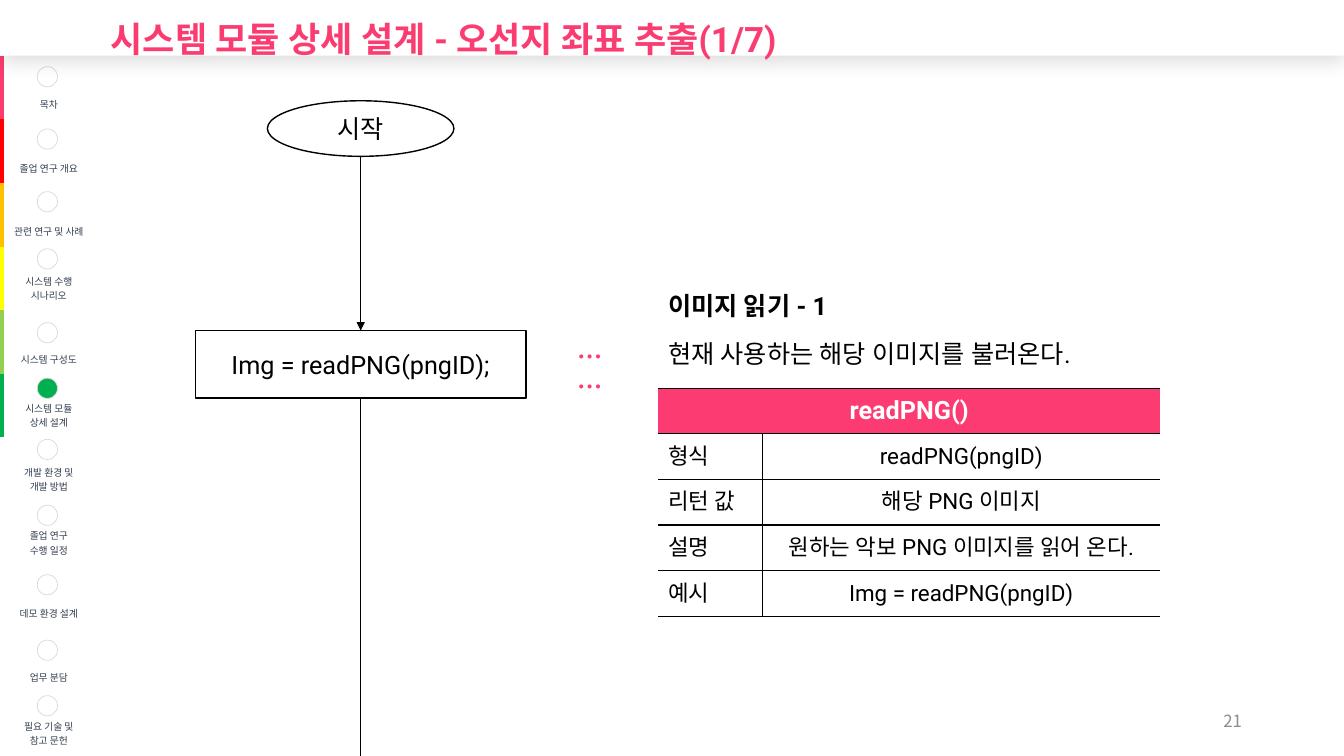
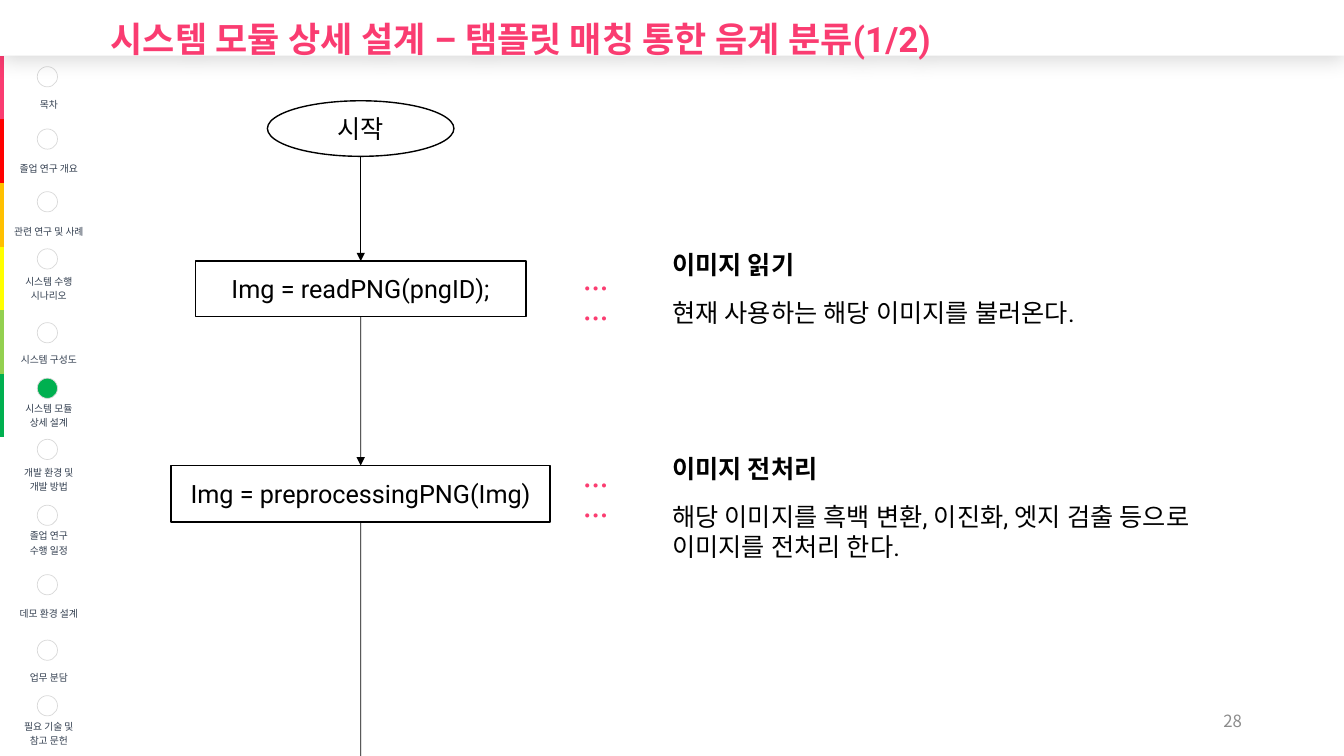
"""Build two flowchart slides on the detailed design of system modules."""
from dataclasses import dataclass

from lxml import etree
from pptx import Presentation
from pptx.dml.color import RGBColor
from pptx.enum.shapes import MSO_CONNECTOR, MSO_SHAPE
from pptx.enum.text import MSO_ANCHOR, MSO_AUTO_SIZE, PP_ALIGN
from pptx.oxml import parse_xml
from pptx.oxml.ns import nsdecls, qn
from pptx.util import Cm, Pt


@dataclass(frozen=True)
class Theme:
    pink: str = "FA3C71"
    header: str = "FB3B71"
    dots: str = "FB3D71"
    active: str = "00B050"
    white: str = "FFFFFF"
    black: str = "000000"
    menu: str = "333F50"
    ring: str = "D9D9D9"
    page: str = "8C8C8C"
    font: str = "Roboto"
    korean: str = "Noto Sans CJK KR"
    title_size: float = 25
    text_size: float = 18
    table_size: float = 16
    page_size: float = 12
    menu_size: float = 7


THEME = Theme()
WIDTH, HEIGHT = 33.87, 19.05
BAND_HEIGHT = 1.4
FLOW_AXIS = 9.09
START_WIDTH, START_TOP, START_HEIGHT = 4.7, 2.54, 1.4
MENU_COLUMNS = (0.13, 2.26)
RING_LEFT, RING_SIZE = 0.94, 0.51
NO_STYLE = "{2D5ABB26-0587-4C30-8999-92F81FD0307C}"

MENU = [
    ("목차", THEME.pink, 1.68),
    ("졸업 연구 개요", "FF0000", 3.25),
    ("관련 연구 및 사례", "FFC000", 4.83),
    ("시스템 수행\n시나리오", "FFFF00", 6.27),
    ("시스템 구성도", "93D050", 8.13),
    ("시스템 모듈\n상세 설계", THEME.active, 9.53),
    ("개발 환경 및\n개발 방법", THEME.white, 11.07),
    ("졸업 연구\n수행 일정", THEME.white, 12.73),
    ("데모 환경 설계", THEME.white, 14.48),
    ("업무 분담", THEME.white, 16.13),
    ("필요 기술 및\n참고 문헌", THEME.white, 17.53),
]
CURRENT = 5

SLIDES = [
    {
        "title": "시스템 모듈 상세 설계 - 오선지 좌표 추출(1/7)",
        "page": "21",
        "steps": [
            {"code": "Img = readPNG(pngID);", "box": (8.33, 8.33, 1.7),
             "dots": (14.3, 8.48), "note": (16.59, 7.19, 15.37, 2.24),
             "heading": "이미지 읽기 - 1",
             "body": "현재 사용하는 해당 이미지를 불러온다."},
        ],
        "function": {
            "name": "readPNG()",
            "rows": [
                ("형식", "readPNG(pngID)"),
                ("리턴 값", "해당 PNG 이미지"),
                ("설명", "원하는 악보 PNG 이미지를 읽어 온다."),
                ("예시", "Img = readPNG(pngID)"),
            ],
        },
    },
    {
        "title": "시스템 모듈 상세 설계 – 탬플릿 매칭 통한 음계 분류(1/2)",
        "page": "28",
        "steps": [
            {"code": "Img = readPNG(pngID);", "box": (8.33, 6.58, 1.4),
             "dots": (14.45, 6.76), "note": (16.69, 6.17, 15.37, 2.24),
             "heading": "이미지 읽기",
             "body": "현재 사용하는 해당 이미지를 불러온다."},
            {"code": "Img = preprocessingPNG(Img)", "box": (9.55, 11.73, 1.42),
             "dots": (14.45, 11.73), "note": (16.69, 11.3, 15.04, 3.63),
             "heading": "이미지 전처리",
             "body": "해당 이미지를 흑백 변환, 이진화, 엣지 검출 등으로 "
                     "이미지를 전처리 한다."},
        ],
    },
]


def rgb(color):
    return RGBColor.from_string(color)


def style(paragraph, size, color, bold=False, align=PP_ALIGN.LEFT,
          latin=THEME.font, asian=THEME.font):
    paragraph.alignment = align
    for run in paragraph.runs:
        run.font.size = Pt(size)
        run.font.bold = bold
        run.font.name = latin
        run.font.color.rgb = rgb(color)
        east = etree.SubElement(run.font._element, qn("a:ea"))
        east.set("typeface", asian)


def paint(shape, fill, line, width):
    shape.shadow.inherit = False
    shape.fill.solid()
    shape.fill.fore_color.rgb = rgb(fill)
    shape.line.color.rgb = rgb(line)
    shape.line.width = Pt(width)


def add_text(slide, left, top, width, height):
    box = slide.shapes.add_textbox(Cm(left), Cm(top), Cm(width), Cm(height))
    box.text_frame.word_wrap = True
    return box.text_frame


def add_plain_table(slide, left, top, columns, rows, row_height):
    frame = slide.shapes.add_table(rows, len(columns), Cm(left), Cm(top),
                                   Cm(sum(columns)), Cm(rows * row_height))
    table = frame.table
    table.first_row = table.horz_banding = False
    table._tbl.tblPr.find(qn("a:tableStyleId")).text = NO_STYLE
    for column, width in zip(table.columns, columns):
        column.width = Cm(width)
    return table


def fill_cell(cell, color):
    cell.fill.solid()
    cell.fill.fore_color.rgb = rgb(color)


def add_borders(cell, sides):
    for position, side in enumerate(sides):
        cell._tc.get_or_add_tcPr().insert(position, parse_xml(
            f'<a:ln{side} {nsdecls("a")} w="12700"><a:solidFill>'
            f'<a:srgbClr val="{THEME.black}"/></a:solidFill></a:ln{side}>'))


def add_menu(slide):
    table = add_plain_table(slide, -0.03, BAND_HEIGHT, MENU_COLUMNS, len(MENU),
                            (HEIGHT - BAND_HEIGHT) / len(MENU))
    for row, (label, accent, _) in enumerate(MENU):
        marker, entry = table.cell(row, 0), table.cell(row, 1)
        fill_cell(marker, accent)
        fill_cell(entry, THEME.white)
        for cell in (marker, entry):
            cell.margin_left = cell.margin_right = cell.margin_top = 0
            cell.margin_bottom = Cm(0.2)
        entry.vertical_anchor = MSO_ANCHOR.BOTTOM
        entry.text_frame.text = label
        for paragraph in entry.text_frame.paragraphs:
            style(paragraph, THEME.menu_size, THEME.menu,
                  align=PP_ALIGN.CENTER, asian=THEME.korean)
    for index, (_, _, top) in enumerate(MENU):
        ring = slide.shapes.add_shape(MSO_SHAPE.OVAL, Cm(RING_LEFT), Cm(top),
                                      Cm(RING_SIZE), Cm(RING_SIZE))
        paint(ring, THEME.active if index == CURRENT else THEME.white,
              THEME.ring, 0.5)


def add_title(slide, words):
    title = slide.shapes.title
    title.left, title.top, title.width, title.height = (
        0, 0, Cm(WIDTH), Cm(BAND_HEIGHT))
    title.fill.solid()
    title.fill.fore_color.rgb = rgb(THEME.white)
    title.line.fill.background()
    title._element.spPr.append(parse_xml(
        f'<a:effectLst {nsdecls("a")}><a:outerShdw blurRad="190500" '
        'dist="38100" dir="5400000" algn="t" rotWithShape="0">'
        f'<a:srgbClr val="{THEME.black}"><a:alpha val="15000"/></a:srgbClr>'
        '</a:outerShdw></a:effectLst>'))
    frame = title.text_frame
    frame.text = words
    frame.word_wrap = True
    frame.auto_size = MSO_AUTO_SIZE.NONE
    frame.vertical_anchor = MSO_ANCHOR.MIDDLE
    heading = frame.paragraphs[0]
    heading.line_spacing = 1.5
    heading._p.get_or_add_pPr().set("marL", str(Cm(2.54)))
    style(heading, THEME.title_size, THEME.pink, bold=True)
    slide.shapes._spTree.append(title._element)


def add_page_number(slide, number):
    frame = add_text(slide, 23.93, 17.65, 7.62, 1.02)
    frame.vertical_anchor = MSO_ANCHOR.MIDDLE
    frame.text = number
    style(frame.paragraphs[0], THEME.page_size, THEME.page,
          align=PP_ALIGN.RIGHT, latin=THEME.korean, asian=THEME.korean)


def add_node(slide, kind, words, width, top, height):
    node = slide.shapes.add_shape(kind, Cm(FLOW_AXIS - width / 2), Cm(top),
                                  Cm(width), Cm(height))
    paint(node, THEME.white, THEME.black, 1)
    node.text_frame.text = words
    node.text_frame.vertical_anchor = MSO_ANCHOR.MIDDLE
    style(node.text_frame.paragraphs[0], THEME.text_size, THEME.black,
          align=PP_ALIGN.CENTER)
    return node


def add_flow_line(slide, top, bottom, source=None, target=None):
    line = slide.shapes.add_connector(MSO_CONNECTOR.STRAIGHT, Cm(FLOW_AXIS),
                                      Cm(top), Cm(FLOW_AXIS), Cm(bottom))
    line.line.color.rgb = rgb(THEME.black)
    line.line.width = Pt(0.5)
    if source is not None:
        line.begin_connect(source, 2)
    if target is not None:
        line.end_connect(target, 0)
        etree.SubElement(line.line._get_or_add_ln(),
                         qn("a:tailEnd")).set("type", "triangle")
    etree.SubElement(line._element.spPr, qn("a:effectLst"))


def add_note(slide, step):
    frame = add_text(slide, *step["note"])
    frame.text = step["heading"]
    style(frame.paragraphs[0], THEME.text_size, THEME.black, bold=True)
    body = frame.add_paragraph()
    body.text = step["body"]
    body.space_before = Pt(12.5)
    style(body, THEME.text_size, THEME.black)
    dots = add_text(slide, *step["dots"], 1.65, 1.02)
    dots.text = "……"
    style(dots.paragraphs[0], THEME.text_size, THEME.dots, bold=True,
          latin=THEME.korean)


def add_flow(slide, steps):
    add_node(slide, MSO_SHAPE.OVAL, "시작", START_WIDTH, START_TOP, START_HEIGHT)
    previous, previous_bottom = None, START_TOP + START_HEIGHT
    for step in steps:
        width, top, height = step["box"]
        process = add_node(slide, MSO_SHAPE.FLOWCHART_PROCESS, step["code"],
                           width, top, height)
        add_flow_line(slide, previous_bottom, top, previous, process)
        add_note(slide, step)
        previous, previous_bottom = process, top + height
    add_flow_line(slide, previous_bottom, HEIGHT, previous)


def add_function_table(slide, function):
    rows = function["rows"]
    table = add_plain_table(slide, 16.59, 9.78, (2.62, 10.03), len(rows) + 1, 1.15)
    header = table.cell(0, 0)
    header.merge(table.cell(0, 1))
    header.text_frame.text = function["name"]
    style(header.text_frame.paragraphs[0], THEME.text_size, THEME.white,
          bold=True, align=PP_ALIGN.CENTER)
    for column in (0, 1):
        fill_cell(table.cell(0, column), THEME.header)
        add_borders(table.cell(0, column), "TB")
    header.vertical_anchor = MSO_ANCHOR.MIDDLE
    layout = ((PP_ALIGN.LEFT, "TB"), (PP_ALIGN.CENTER, "LTB"))
    for row, entries in enumerate(rows, 1):
        for column, (words, (align, sides)) in enumerate(zip(entries, layout)):
            cell = table.cell(row, column)
            cell.fill.background()
            cell.vertical_anchor = MSO_ANCHOR.MIDDLE
            cell.text_frame.text = words
            style(cell.text_frame.paragraphs[0], THEME.table_size, THEME.black,
                  align=align)
            add_borders(cell, sides)


def main():
    deck = Presentation()
    deck.slide_width, deck.slide_height = Cm(WIDTH), Cm(HEIGHT)
    for content in SLIDES:
        slide = deck.slides.add_slide(deck.slide_layouts[5])
        add_page_number(slide, content["page"])
        add_menu(slide)
        add_title(slide, content["title"])
        add_flow(slide, content["steps"])
        if "function" in content:
            add_function_table(slide, content["function"])
    deck.save("out.pptx")


if __name__ == "__main__":
    main()
